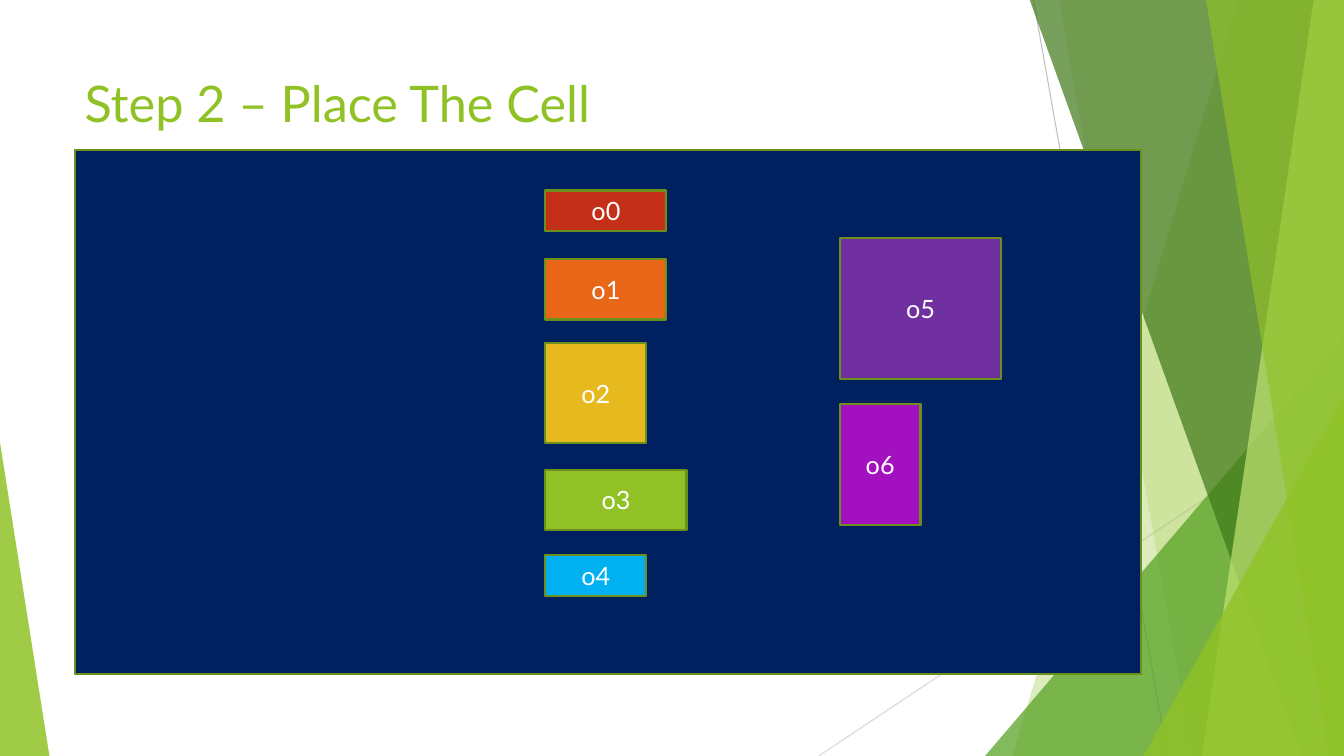
import pptx
import pptx.util
import pptx.dml.color
import pptx.enum.shapes
import pptx.enum.text
import pptx.oxml.ns
import lxml.etree

Inches, Pt = pptx.util.Inches, pptx.util.Pt
SHAPES = pptx.enum.shapes.MSO_SHAPE
ALIGN = pptx.enum.text.PP_ALIGN
ANCHOR = pptx.enum.text.MSO_ANCHOR
qn = pptx.oxml.ns.qn

COLORS = {
    "lime": "90C226", "leaf": "54A021", "forest": "3F7819", "pale": "C0E474",
    "gray": "BFBFBF", "light_gray": "D9D9D9", "border": "6B901C",
    "navy": "002060", "white": "FFFFFF", "red": "C42F1A", "orange": "E76618",
    "gold": "E6B91E", "sky": "00B0F0", "purple": "7030A0", "magenta": "A310C0",
}
WIDTH, HEIGHT = 13.33, 7.5
FACET_TOP = -0.01


def rgb(name):
    return pptx.dml.color.RGBColor.from_string(COLORS[name])


def write_text(frame, text, size=18, color="white", font="Lato",
               align=ALIGN.CENTER, anchor=ANCHOR.MIDDLE):
    frame.word_wrap = True
    frame.vertical_anchor = anchor
    paragraph = frame.paragraphs[0]
    paragraph.alignment = align
    run = paragraph.add_run()
    run.text = text
    run.font.size = Pt(size)
    run.font.name = font
    run.font.color.rgb = rgb(color)


class SlideBuilder:
    """Holds the shared style and the current slide."""

    border, border_width = "border", 1.5

    def __init__(self, slide):
        self.slide = slide
        self.shapes = slide.shapes

    def paint(self, shape, color, opacity=100):
        shape.shadow.inherit = False
        shape.fill.solid()
        shape.fill.fore_color.rgb = rgb(color)
        if opacity < 100:
            tint = shape.element.spPr.find(qn("a:solidFill"))[0]
            alpha = lxml.etree.SubElement(tint, qn("a:alpha"))
            alpha.set("val", str(opacity * 1000))

    def line(self, start, end, color, width=0.75):
        connector = self.shapes.add_connector(
            pptx.enum.shapes.MSO_CONNECTOR.STRAIGHT,
            *(Inches(value) for value in start + end))
        connector.line.color.rgb = rgb(color)
        connector.line.width = Pt(width)
        lxml.etree.SubElement(connector.element.spPr, qn("a:effectLst"))

    def facet(self, top_x, bottom_x, color, opacity):
        """Fill from a slanted edge to the right side of the slide."""
        corners = [(Inches(x), Inches(y)) for x, y in (
            (top_x, FACET_TOP), (WIDTH, FACET_TOP),
            (WIDTH, HEIGHT), (bottom_x, HEIGHT))]
        outline = self.shapes.build_freeform(*corners[0], scale=1.0)
        outline.add_line_segments(corners[1:], close=True)
        shape = outline.convert_to_shape()
        self.paint(shape, color, opacity)
        shape.line.fill.background()

    def triangle(self, left, top, width, apex, color, opacity):
        """Stand a right triangle on the bottom of the slide."""
        shape = self.shapes.add_shape(
            SHAPES.ISOSCELES_TRIANGLE, Inches(left), Inches(top),
            Inches(width), Inches(HEIGHT - top))
        shape.adjustments[0] = apex
        self.paint(shape, color, opacity)
        shape.line.fill.background()

    def box(self, left, top, width, height, color, label=None):
        shape = self.shapes.add_shape(
            SHAPES.RECTANGLE, Inches(left), Inches(top),
            Inches(width), Inches(height))
        self.paint(shape, color)
        shape.line.color.rgb = rgb(self.border)
        shape.line.width = Pt(self.border_width)
        if label:
            write_text(shape.text_frame, label)

    def title(self, left, top, width, height, text):
        heading = self.shapes.add_textbox(
            Inches(left), Inches(top), Inches(width), Inches(height))
        write_text(heading.text_frame, text, size=36, color="lime",
                   align=ALIGN.LEFT, anchor=ANCHOR.TOP)


def main():
    deck = pptx.Presentation()
    deck.slide_width, deck.slide_height = Inches(WIDTH), Inches(HEIGHT)
    builder = SlideBuilder(deck.slides.add_slide(deck.slide_layouts[6]))

    # Faceted background
    builder.line((10.25, 0), (11.58, HEIGHT), "gray")
    builder.line((WIDTH, 4.03), (8.12, HEIGHT), "light_gray")
    builder.facet(12.28, 10.04, "lime", 30)
    builder.facet(10.5, 11.83, "lime", 20)
    builder.triangle(9.77, 3.33, 3.56, 1, "leaf", 72)
    builder.facet(10.21, 12.91, "forest", 70)
    builder.facet(13.03, 11.92, "pale", 70)
    builder.facet(11.96, 13.18, "lime", 65)
    builder.triangle(11.34, 3.93, 1.99, 1, "lime", 80)
    builder.triangle(0, 4.39, 0.49, 0, "lime", 85)

    # Placement area and title
    builder.box(0.74, 1.49, 10.58, 5.2, "navy")
    builder.title(0.74, 0.67, 9.4, 1.44, "Step 2 – Place The Cell")

    # Cells in two columns: top, width, height, color
    columns = {
        5.41: [(1.89, 1.2, 0.4, "red"), (2.57, 1.2, 0.6, "orange"),
               (3.4, 1, 1, "gold"), (4.66, 1.4, 0.6, "lime"),
               (5.51, 1, 0.4, "sky")],
        8.33: [(2.36, 1.6, 1.4, "purple"), (4.01, 0.8, 1.2, "magenta")],
    }
    cells = [(left, *cell) for left, column in columns.items() for cell in column]
    for index, cell in enumerate(cells):
        builder.box(*cell, label=f"o{index}")

    deck.save("out.pptx")


if __name__ == "__main__":
    main()
